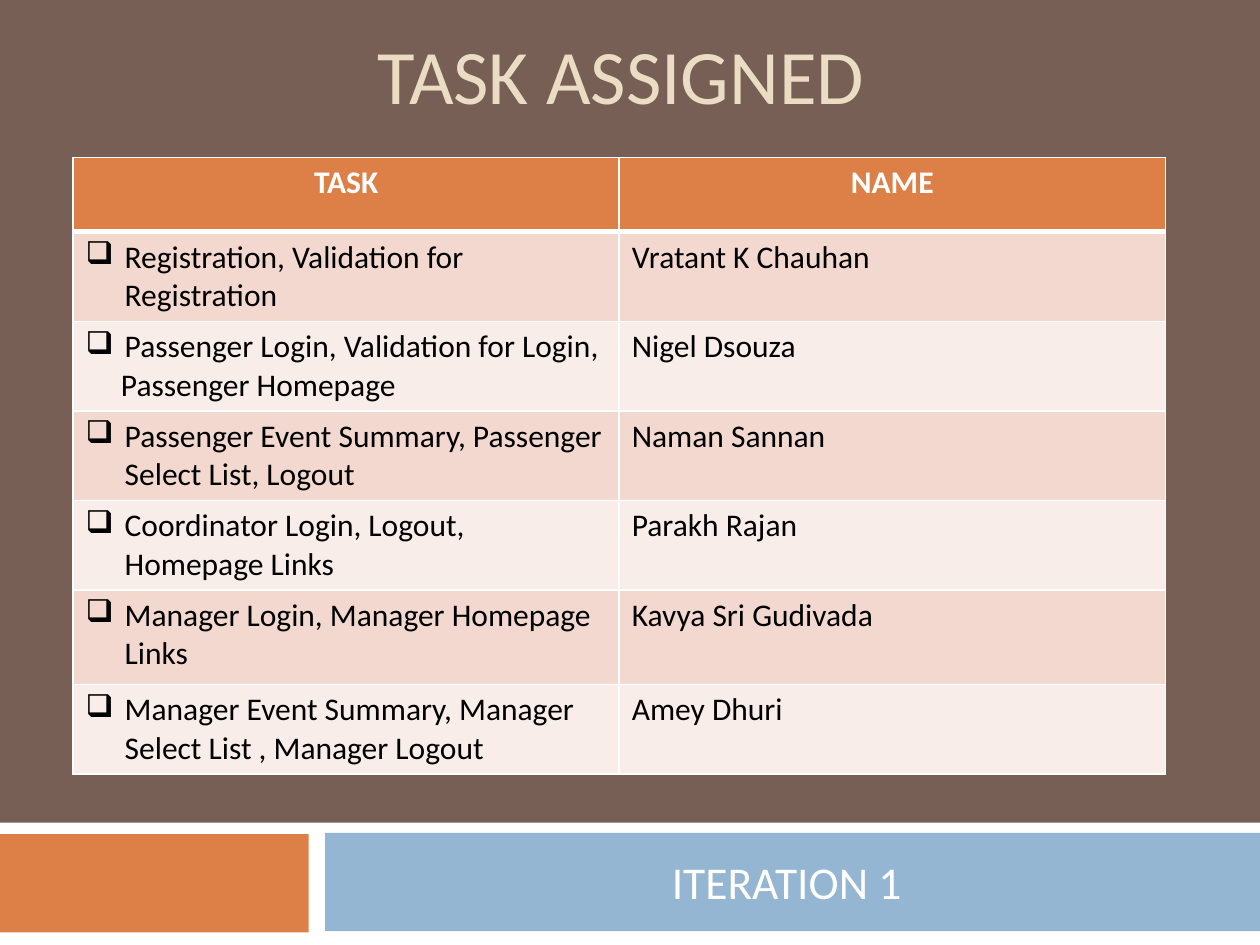
from pptx import Presentation
from pptx.dml.color import RGBColor
from pptx.enum.shapes import MSO_SHAPE as Shape
from pptx.enum.text import MSO_ANCHOR as Anchor, MSO_AUTO_SIZE as AutoSize, PP_ALIGN as Align
from pptx.oxml.ns import qn
from pptx.util import Inches, Pt
from lxml.etree import SubElement

BROWN = RGBColor(0x77, 0x5F, 0x55)
SAND = RGBColor(0xEB, 0xDD, 0xC3)
ORANGE = RGBColor(0xDD, 0x80, 0x47)
BLUE = RGBColor(0x94, 0xB6, 0xD2)
ROSE = RGBColor(0xF2, 0xD8, 0xCF)
PALE = RGBColor(0xF9, 0xED, 0xE9)
WHITE = RGBColor(0xFF, 0xFF, 0xFF)
BLACK = RGBColor(0, 0, 0)

HEADINGS = ("TASK", "NAME")
# Each task is a list of lines: the first has a check box, the rest sit under it
ASSIGNMENTS = [
    (["Registration, Validation for Registration"], "Vratant K Chauhan"),
    (["Passenger Login, Validation for Login,", "Passenger Homepage"], "Nigel Dsouza"),
    (["Passenger Event Summary, Passenger Select List, Logout"], "Naman Sannan"),
    (["Coordinator Login, Logout, Homepage Links"], "Parakh Rajan"),
    (["Manager Login, Manager Homepage Links"], "Kavya Sri Gudivada"),
    (["Manager Event Summary, Manager Select List , Manager Logout"], "Amey Dhuri"),
]
ROW_HEIGHTS = [0.59] * 5 + [0.75, 0.59]
CHECK_INDENT, LINE_INDENT = 0.31, 0.28


class SlideBuilder:
    """Holds the style and the page; lengths are in inches."""

    font = "Calibri"

    def __init__(self, page, background):
        self.page = page
        page.background.fill.solid()
        page.background.fill.fore_color.rgb = background

    def band(self, left, top, width, height, color):
        box = self.page.shapes.add_shape(
            Shape.RECTANGLE, Inches(left), Inches(top), Inches(width), Inches(height))
        box.shadow.inherit = False
        box.fill.solid()
        box.fill.fore_color.rgb = color
        box.line.fill.background()

    def span(self, para, text, size, color, bold=False):
        span = para.add_run()
        span.text = text
        span.font.name, span.font.size = self.font, Pt(size)
        span.font.color.rgb, span.font.bold = color, bold

    def placeholder(self, index, area, text, size, color, anchor, space=0):
        box = self.page.placeholders[index]
        box.left, box.top, box.width, box.height = map(Inches, area)
        self.page.shapes._spTree.append(box._element)  # bring in front of the bands
        frame = box.text_frame
        frame.word_wrap, frame.auto_size = True, AutoSize.NONE
        frame.vertical_anchor = anchor
        para = frame.paragraphs[0]
        para.alignment, para.space_before = Align.CENTER, Pt(space)
        self.span(para, text, size, color)

    def indent(self, para, left, bullet=None):
        props = para._p.get_or_add_pPr()
        props.set("marL", str(Inches(left)))
        if bullet:
            props.set("indent", str(-Inches(left)))
            SubElement(props, qn("a:buChar")).set("char", bullet)

    def cell(self, cell, fill, bottom=1):
        # Borders come before the fill in the cell properties
        props = cell._tc.get_or_add_tcPr()
        for side, width in (("L", 1), ("R", 1), ("T", 1), ("B", bottom)):
            line = SubElement(props, qn(f"a:ln{side}"), w=str(Pt(width)))
            solid = SubElement(line, qn("a:solidFill"))
            SubElement(solid, qn("a:srgbClr")).set("val", str(WHITE))
        cell.fill.solid()
        cell.fill.fore_color.rgb = fill
        return cell.text_frame

    def task_table(self, left, top, width):
        table = self.page.shapes.add_table(
            len(ROW_HEIGHTS), len(HEADINGS), Inches(left), Inches(top),
            Inches(width), Inches(sum(ROW_HEIGHTS))).table
        for row, height in zip(table.rows, ROW_HEIGHTS):
            row.height = Inches(height)
        for column, heading in enumerate(HEADINGS):
            para = self.cell(table.cell(0, column), ORANGE, bottom=3).paragraphs[0]
            para.alignment = Align.CENTER
            self.span(para, heading, 18, WHITE, bold=True)
        for number, (lines, name) in enumerate(ASSIGNMENTS, start=1):
            fill = ROSE if number % 2 else PALE
            frame = self.cell(table.cell(number, 0), fill)
            for position, line in enumerate(lines):
                para = frame.add_paragraph() if position else frame.paragraphs[0]
                if position:
                    self.indent(para, LINE_INDENT)
                else:
                    self.indent(para, CHECK_INDENT, "❑")
                self.span(para, line, 18, BLACK)
            frame = self.cell(table.cell(number, 1), fill)
            self.span(frame.paragraphs[0], name, 18, BLACK)


def main():
    deck = Presentation()
    deck.slide_width, deck.slide_height = Inches(10), Inches(7.5)
    slide = SlideBuilder(deck.slides.add_slide(deck.slide_layouts[0]), BROWN)

    # Footer bands
    slide.band(0, 6.53, 10, 0.97, WHITE)
    slide.band(-0.01, 6.62, 2.46, 0.78, ORANGE)
    slide.band(2.58, 6.61, 7.42, 0.78, BLUE)

    # Title and subtitle
    slide.placeholder(0, (1.46, -0.42, 7.08, 1.42), "TASK ASSIGNED ", 44, SAND, Anchor.BOTTOM)
    slide.placeholder(1, (2.58, 6.62, 7.33, 0.75), "ITERATION 1", 26, WHITE, Anchor.MIDDLE, space=7)

    # Who does what
    slide.task_table(0.58, 1.25, 8.67)
    deck.save("out.pptx")


if __name__ == "__main__":
    main()
